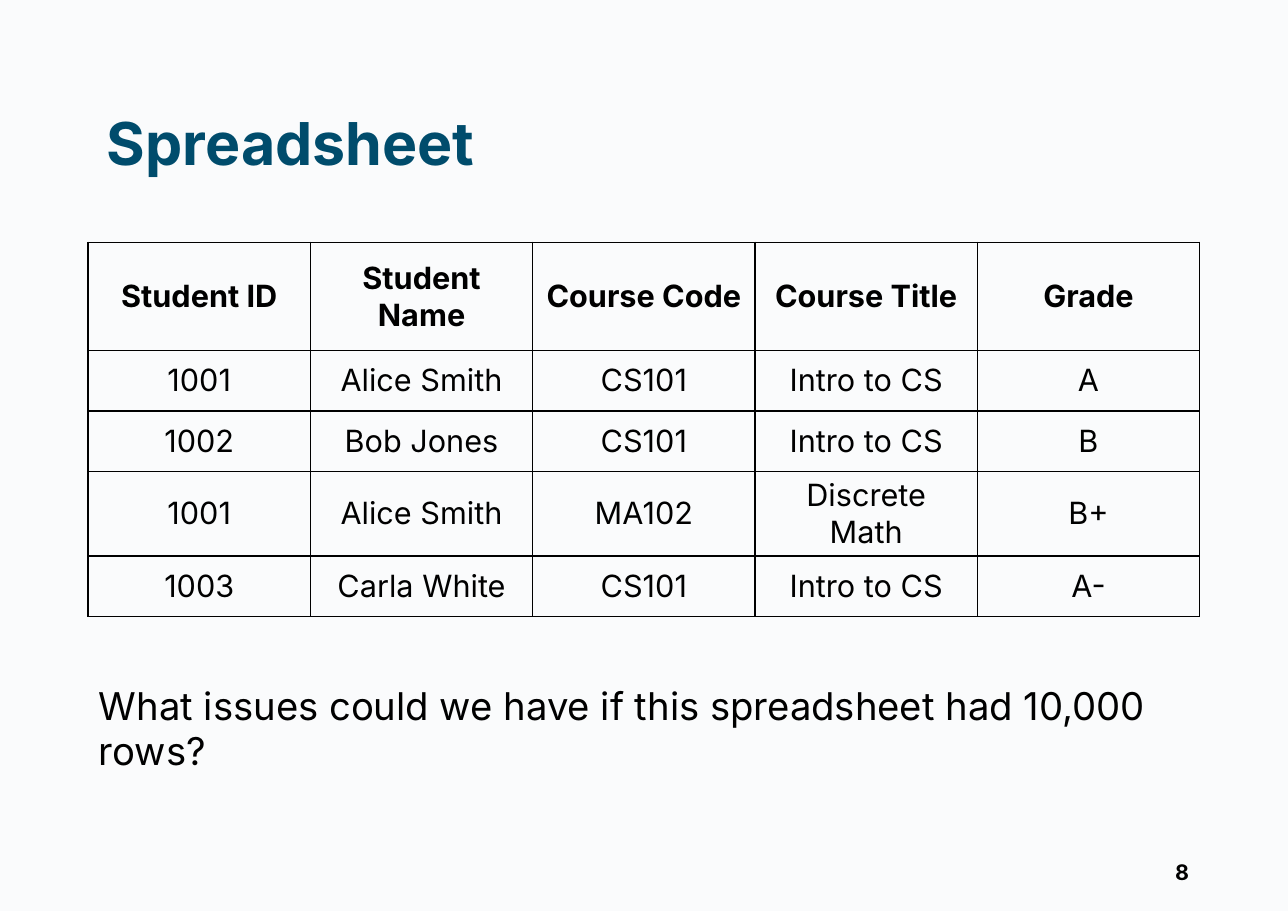
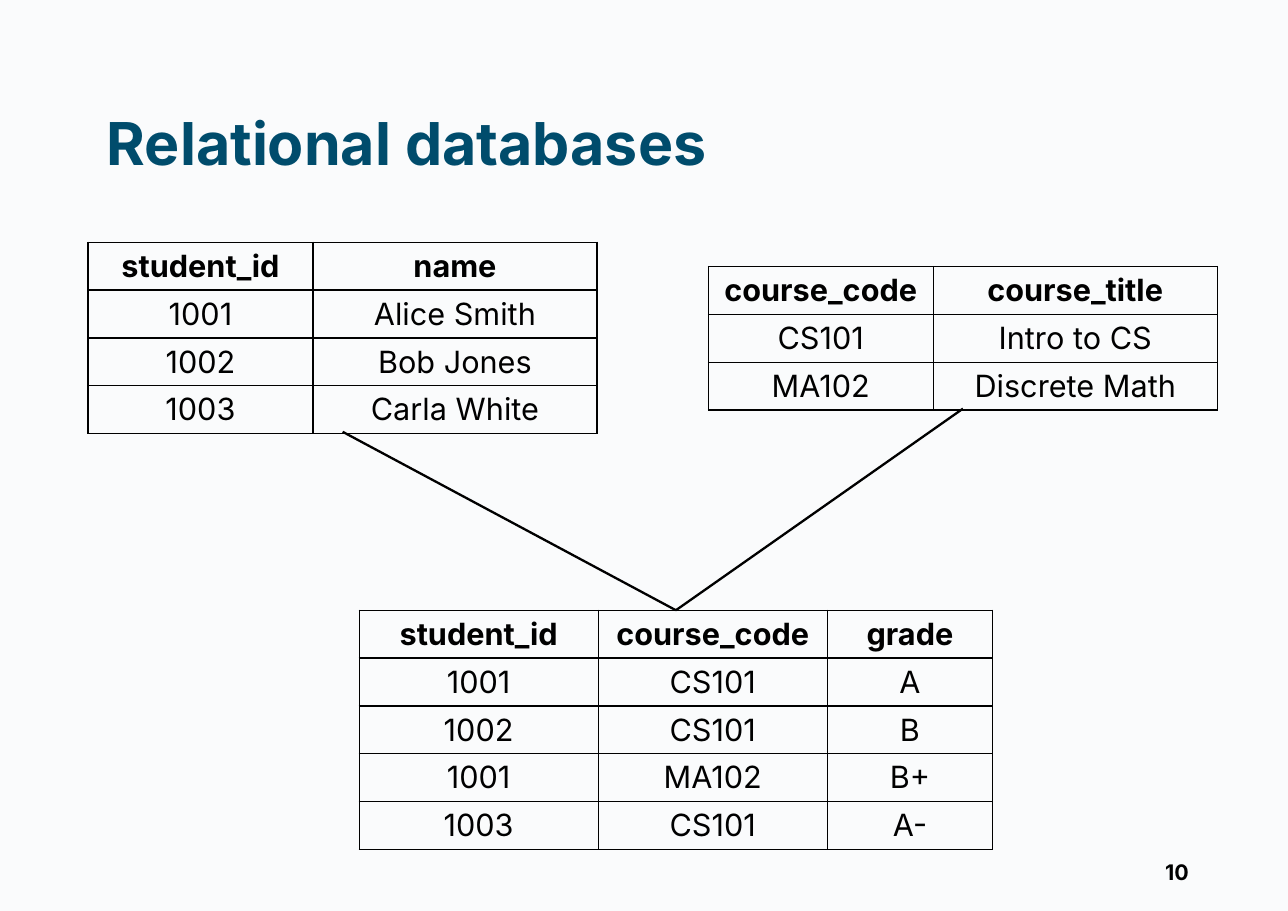
from dataclasses import dataclass

from lxml import etree
from pptx import Presentation
from pptx import util as u
from pptx.dml.color import RGBColor
from pptx.enum import shapes, text
from pptx.oxml import ns
from pptx.slide import Slide
from pptx.text.text import TextFrame

FONT = "Inter"
COLORS = {"paper": "FAFBFC", "title": "004C6C", "ink": "000000"}
LEFT, WIDTH = 0.8, 10.09  # shared content column, inches


@dataclass(frozen=True)
class Box:
    x: float
    y: float
    w: float
    h: float


@dataclass(frozen=True)
class TextStyle:
    size: float
    color: str = "ink"
    bold: bool = False
    align: text.PP_ALIGN = text.PP_ALIGN.LEFT
    anchor: text.MSO_ANCHOR = text.MSO_ANCHOR.TOP


@dataclass(frozen=True)
class Grid:
    x: float
    y: float
    cols: list[float]
    row_heights: list[float]
    rows: list[list[str]]

    @property
    def w(self) -> float:
        return sum(self.cols)

    @property
    def h(self) -> float:
        return sum(self.row_heights)

    @property
    def top(self) -> tuple[float, float]:
        return self.x + self.w / 2, self.y

    @property
    def bottom(self) -> tuple[float, float]:
        return self.x + self.w / 2, self.y + self.h


TITLE = TextStyle(38.6, "title", bold=True, anchor=text.MSO_ANCHOR.MIDDLE)
BODY = TextStyle(25)
PAGE = TextStyle(14, bold=True, align=text.PP_ALIGN.RIGHT,
                 anchor=text.MSO_ANCHOR.MIDDLE)
HEADER = TextStyle(20, bold=True, align=text.PP_ALIGN.CENTER)
CELL = TextStyle(20, align=text.PP_ALIGN.CENTER)


def rgb(name: str) -> RGBColor:
    return RGBColor.from_string(COLORS[name])


def set_text(tf: TextFrame, words: str, style: TextStyle) -> None:
    tf.text = words
    p = tf.paragraphs[0]
    p.alignment = style.align
    for r in p.runs:
        r.font.name = FONT
        r.font.size = u.Pt(style.size)
        r.font.bold = style.bold
        r.font.color.rgb = rgb(style.color)


def add_text(s: Slide, box: Box, words: str, style: TextStyle) -> TextFrame:
    sp = s.shapes.add_textbox(*map(u.Inches, (box.x, box.y, box.w, box.h)))
    tf = sp.text_frame
    tf.word_wrap = True
    tf.vertical_anchor = style.anchor
    set_text(tf, words, style)
    return tf


def add_slide(prs, title: str, page: int) -> Slide:
    """Blank slide with the shared background, title and page number."""
    s = prs.slides.add_slide(prs.slide_layouts[6])
    s.background.fill.solid()
    s.background.fill.fore_color.rgb = rgb("paper")
    tf = add_text(s, Box(LEFT, 0.86, WIDTH, 0.75), title, TITLE)
    tf.margin_left, tf.margin_top = u.Inches(0.17), u.Inches(0.1)
    tf.margin_right = tf.margin_bottom = 0
    add_text(s, Box(8.26, 7.7, 2.63, 0.44), str(page), PAGE)
    return s


def add_borders(cell) -> None:
    props = cell._tc.get_or_add_tcPr()
    for i, side in enumerate(("lnL", "lnR", "lnT", "lnB")):
        ln = etree.Element(ns.qn(f"a:{side}"), w=str(u.Pt(1)))
        fill = etree.SubElement(ln, ns.qn("a:solidFill"))
        etree.SubElement(fill, ns.qn("a:srgbClr"), val=COLORS["ink"])
        props.insert(i, ln)


def add_grid(s: Slide, grid: Grid) -> None:
    frame = s.shapes.add_table(len(grid.rows), len(grid.cols),
                               *map(u.Inches, (grid.x, grid.y, grid.w, grid.h)))
    table = frame.table
    table.first_row = table.horz_banding = False
    for col, width in zip(table.columns, grid.cols):
        col.width = u.Inches(width)
    for i, (row, height) in enumerate(zip(table.rows, grid.row_heights)):
        row.height = u.Inches(height)
        for cell, words in zip(row.cells, grid.rows[i]):
            cell.vertical_anchor = text.MSO_ANCHOR.MIDDLE
            cell.fill.background()
            add_borders(cell)
            set_text(cell.text_frame, words, CELL if i else HEADER)


def add_link(s: Slide, start: tuple[float, float], end: tuple[float, float]) -> None:
    line = s.shapes.add_connector(shapes.MSO_CONNECTOR.STRAIGHT,
                                  *map(u.Inches, start + end))
    line.line.color.rgb = rgb("ink")
    line.line.width = u.Pt(1.5)
    etree.SubElement(line._element.spPr, ns.qn("a:effectLst"))


def spreadsheet(prs) -> None:
    s = add_slide(prs, "Spreadsheet", 8)
    rows = [
        ["Student ID", "Student Name", "Course Code", "Course Title", "Grade"],
        ["1001", "Alice Smith", "CS101", "Intro to CS", "A"],
        ["1002", "Bob Jones", "CS101", "Intro to CS", "B"],
        ["1001", "Alice Smith", "MA102", "Discrete Math", "B+"],
        ["1003", "Carla White", "CS101", "Intro to CS", "A-"],
    ]
    add_grid(s, Grid(LEFT, 2.2, [WIDTH / 5] * 5, [0.98] + [0.55] * 4, rows))
    add_text(s, Box(LEFT, 6.14, 10.29, 0.52),
             "What issues could we have if this spreadsheet had 10,000 rows?", BODY)


def relational(prs) -> None:
    s = add_slide(prs, "Relational databases", 10)
    row_h, pair_cols = 0.43, [2.04, 2.58]
    students = Grid(LEFT, 2.2, pair_cols, [row_h] * 4, [
        ["student_id", "name"],
        ["1001", "Alice Smith"],
        ["1002", "Bob Jones"],
        ["1003", "Carla White"],
    ])
    courses = Grid(6.43, 2.42, pair_cols, [row_h] * 3, [
        ["course_code", "course_title"],
        ["CS101", "Intro to CS"],
        ["MA102", "Discrete Math"],
    ])
    grades = Grid(3.26, 5.54, [2.17, 2.08, 1.5], [row_h] * 5, [
        ["student_id", "course_code", "grade"],
        ["1001", "CS101", "A"],
        ["1002", "CS101", "B"],
        ["1001", "MA102", "B+"],
        ["1003", "CS101", "A-"],
    ])
    for grid in (students, courses, grades):
        add_grid(s, grid)
    # Both parent tables link to the grades table
    for parent in (students, courses):
        add_link(s, parent.bottom, grades.top)


def main() -> None:
    prs = Presentation()
    prs.slide_width, prs.slide_height = u.Inches(11.69), u.Inches(8.27)
    spreadsheet(prs)
    relational(prs)
    prs.save("out.pptx")


if __name__ == "__main__":
    main()
